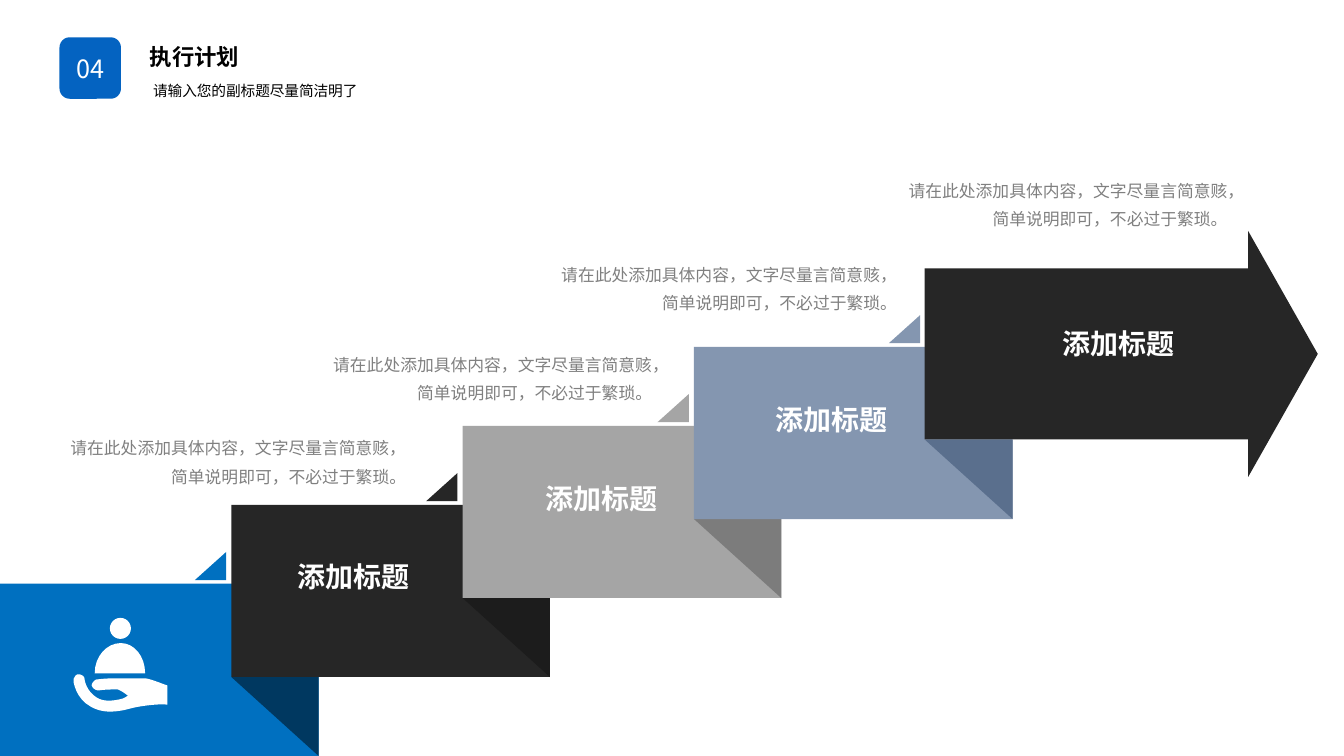
from lxml import etree
from pptx import Presentation, util as u
from pptx.dml.color import RGBColor
from pptx.enum import shapes, text
from pptx.oxml.ns import qn

THEME = {
    "font": "Noto Sans CJK SC",
    "badge": "0463C1", "blue": "0070C0", "dark": "262626", "grey": "A5A5A5", "slate": "8496B0",
    "blue_fold": "003860", "dark_fold": "1C1C1C", "grey_fold": "7C7C7C", "slate_fold": "5A6F8D",
    "white": "FFFFFF", "black": "000000", "note": "808080",
    "badge_size": 18, "title_size": 16, "subtitle_size": 10.5, "step_size": 20, "note_size": 12,
}
KIND = shapes.MSO_SHAPE
LEFT, CENTER, RIGHT = text.PP_ALIGN.LEFT, text.PP_ALIGN.CENTER, text.PP_ALIGN.RIGHT

prs = Presentation()
prs.slide_width, prs.slide_height = u.Cm(33.87), u.Cm(19.05)
s = prs.slides.add_slide(prs.slide_layouts[6])


def add_filled(kind, x, y, w, h, color):
    sp = s.shapes.add_shape(kind, u.Cm(x), u.Cm(y), u.Cm(w), u.Cm(h))
    sp.shadow.inherit = False
    sp.fill.solid()
    sp.fill.fore_color.rgb = RGBColor.from_string(THEME[color])
    sp.line.fill.background()
    return sp


def write(sp, words, role, color, align, bold=False, spacing=None):
    """Put one styled paragraph into a shape or text box."""
    tf = sp.text_frame
    tf.word_wrap = True
    p = tf.paragraphs[0]
    p.alignment = align
    if spacing:
        p.line_spacing = spacing
    r = p.add_run()
    r.text = words
    font = {"name": THEME["font"], "size": u.Pt(THEME[role]), "bold": bold}
    for name, value in font.items():
        setattr(r.font, name, value)
    r.font.color.rgb = RGBColor.from_string(THEME[color])
    etree.SubElement(r.font._element, qn("a:ea"), typeface=THEME["font"])


# Header badge
badge = add_filled(KIND.ROUNDED_RECTANGLE, 1.5, 0.94, 1.55, 1.55, "badge")
badge.text_frame.vertical_anchor = text.MSO_ANCHOR.MIDDLE
write(badge, "04", "badge_size", "white", CENTER)

# Staircase: each step has a fold under the next step and a corner above it
STEP_W, STEP_H, RUN, RISE = 8.03, 4.34, 5.83, 1.99
for i, color in enumerate(["blue", "dark", "grey", "slate"]):
    x, y = RUN * i, 14.71 - RISE * i
    add_filled(KIND.RECTANGLE, x, y, STEP_W, STEP_H, color)
    fold = add_filled(KIND.RIGHT_TRIANGLE, x + RUN, y + STEP_H - RISE, STEP_W - RUN, RISE,
                      color + "_fold")
    fold.rotation = 180
    corner = add_filled(KIND.ISOSCELES_TRIANGLE, x + RUN - 0.92, y - 0.8, 0.79, 0.71, color)
    corner.adjustments[0] = 1

arrow = add_filled(KIND.RIGHT_ARROW, 23.3, 5.82, 9.91, 6.2, "dark")
arrow.adjustments[0], arrow.adjustments[1] = 0.695, 0.283

# Text boxes: place, words, size, colour, alignment, bold, line spacing
NOTE = ("请在此处添加具体内容，文字尽量言简意赅，简单说明即可，不必过于繁琐。",
        "note_size", "note", RIGHT, False, u.Pt(20))
STEP = ("添加标题", "step_size", "white", CENTER, True)
boxes = [
    ((3.61, 1.85, 7.39, 0.71), ("请输入您的副标题尽量简洁明了", "subtitle_size", "black", LEFT, False, 1.2)),
    ((3.53, 0.84, 3.71, 0.97), ("执行计划", "title_size", "black", LEFT, True, 1.2)),
]
boxes += [((x, y, w, 1.57), NOTE) for x, y, w in
          [(1.5, 10.72, 8.99), (8.03, 8.61, 8.66), (13.87, 6.35, 8.99), (22.35, 4.24, 8.84)]]
boxes += [((x, y, 3.81, 1.12), STEP) for x, y in
          [(7.01, 13.97), (13.26, 12.01), (19.05, 10.03), (26.29, 8.1)]]
for place, content in boxes:
    sp = s.shapes.add_textbox(*map(u.Cm, place))
    write(sp, *content)
    sp.text_frame.auto_size = text.MSO_AUTO_SIZE.SHAPE_TO_FIT_TEXT

# Icon: a person above an open hand; outlines are cubic curves on a fine grid
GRID = 0.0254
add_filled(KIND.OVAL, 2.77, 15.57, 0.53, 0.53, "white")
body = [(94, 668), (94, 651, 106, 638, 120, 638), (133, 638, 144, 651, 144, 668)]
hand = [
    (109, 706), (102, 706, 95, 704, 90, 701), (75, 693, 73, 676, 73, 676),
    (73, 674, 73, 673, 74, 672), (75, 670, 76, 669, 78, 669), (81, 669, 84, 671, 84, 674),
    (84, 675, 86, 686, 96, 692), (102, 696, 111, 696, 122, 693), (124, 692, 126, 691, 127, 690),
    (125, 689, 122, 686, 117, 684), (111, 684, 104, 684, 98, 685), (95, 685, 92, 683, 91, 680),
    (91, 679, 92, 677, 93, 676), (94, 675, 95, 674, 97, 674), (105, 673, 111, 673, 118, 673),
    (127, 673, 135, 673, 144, 673), (148, 673, 160, 678, 166, 680), (166, 686, 166, 692, 166, 699),
    (155, 698, 136, 701, 129, 703), (122, 705, 115, 706, 109, 706),
]
for start, *curves in (body, hand):
    points = [start]
    for ax, ay, bx, by, cx, cy in curves:
        px, py = points[-1]
        for t in (0.125 * n for n in range(1, 9)):
            k = 1 - t
            weights = (k ** 3, 3 * k * k * t, 3 * k * t * t, t ** 3)
            points.append((sum(f * v for f, v in zip(weights, (px, ax, bx, cx))),
                           sum(f * v for f, v in zip(weights, (py, ay, by, cy)))))
    points = [(u.Cm(x * GRID), u.Cm(y * GRID)) for x, y in points]
    outline = s.shapes.build_freeform(*points[0])
    outline.add_line_segments(points[1:], close=True)
    sp = outline.convert_to_shape()
    sp.shadow.inherit = False
    sp.fill.solid()
    sp.fill.fore_color.rgb = RGBColor.from_string(THEME["white"])
    sp.line.fill.background()

prs.save("out.pptx")
